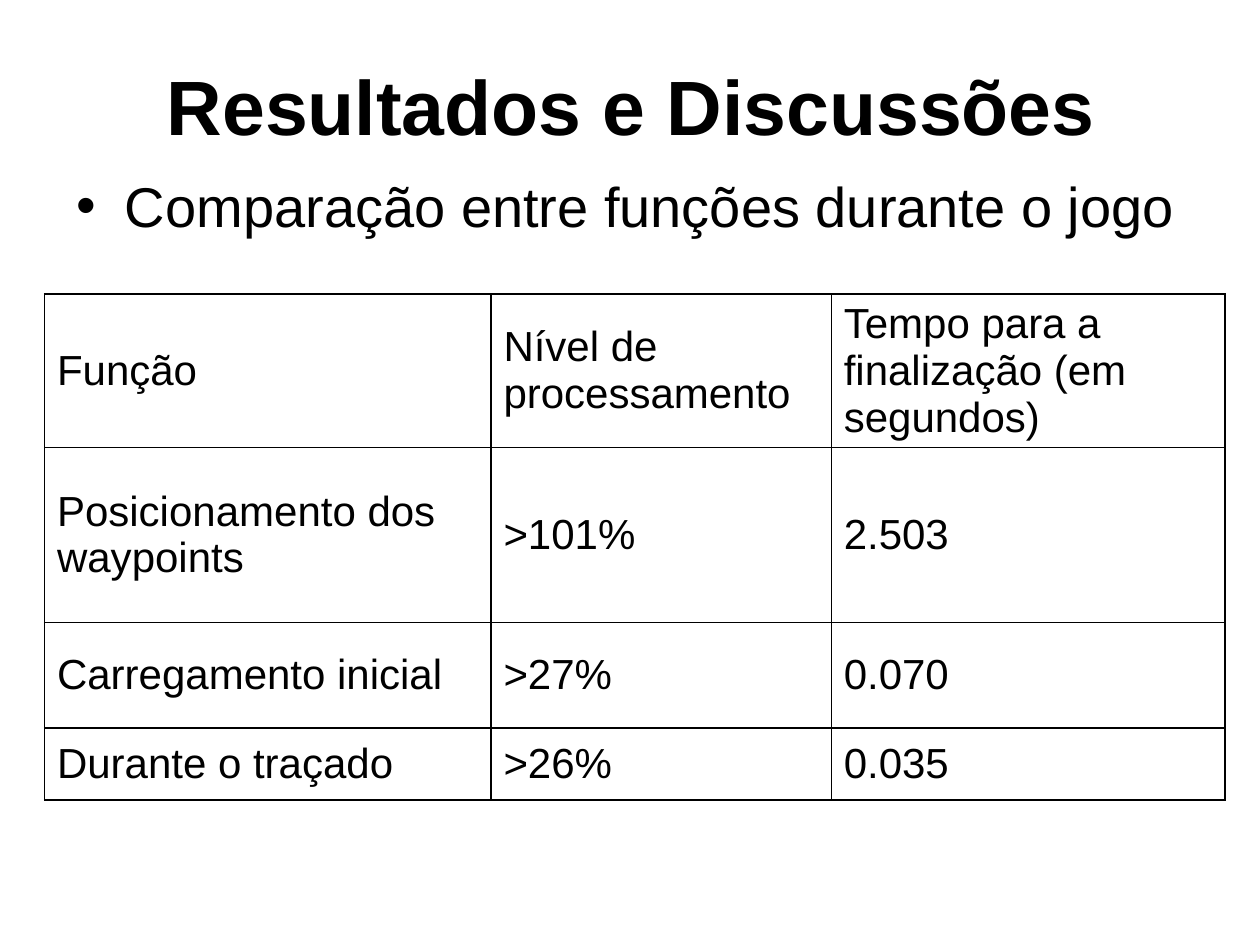
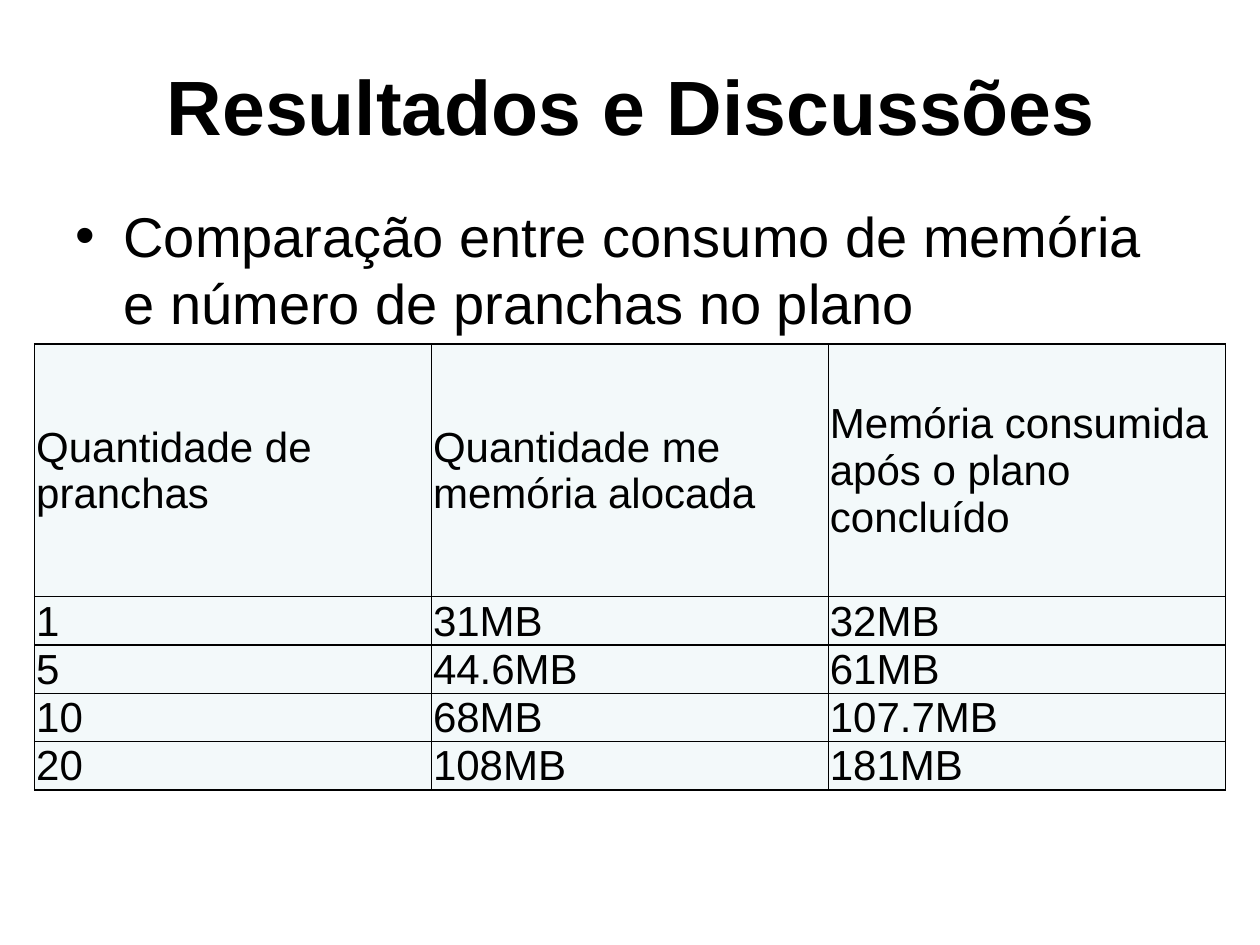
"""Build the two result slides, each with a bullet and a comparison table."""
from dataclasses import dataclass

import pptx
import pptx.dml.color
import pptx.enum.text
import pptx.oxml.ns
import pptx.util
from lxml import etree

Cm, Pt = pptx.util.Cm, pptx.util.Pt
RGB = pptx.dml.color.RGBColor
Align = pptx.enum.text.PP_ALIGN
Anchor = pptx.enum.text.MSO_ANCHOR
qn = pptx.oxml.ns.qn


@dataclass(frozen=True)
class Theme:
    font: str = "Arial"
    ink: str = "000000"
    white: str = "FFFFFF"
    mist: str = "F3F9FA"
    title_size: int = 44
    bullet_size: int = 32
    cell_size: int = 24
    cell_leading: float = 26.7
    border: int = 1


@dataclass(frozen=True)
class Bullet:
    text: str
    left: float
    top: float
    height: float


@dataclass(frozen=True)
class Grid:
    left: float
    top: float
    widths: list[float]
    heights: list[float]
    rows: list[list[str]]
    fill: str
    justify_from: int
    margins: tuple[float, float, float, float]


@dataclass(frozen=True)
class ResultSlide:
    bullet: Bullet
    grid: Grid


THEME = Theme()
TITLE = "Resultados e Discussões"
BODY_WIDTH = 22.86
INDENT = 0.97

SLIDES = [
    ResultSlide(
        Bullet("Comparação entre funções durante o jogo", 1.3, 3.33, 2.8),
        Grid(0.9, 5.93, [9, 6.86, 7.93], [3.08, 3.53, 2.13, 1.45], [
            ["Função", "Nível de processamento",
             "Tempo para a finalização (em segundos)"],
            ["Posicionamento dos waypoints", ">101%", "2.503"],
            ["Carregamento inicial", ">27%", "0.070"],
            ["Durante o traçado", ">26%", "0.035"],
        ], THEME.white, 2, (0.25, 0.13, 0.25, 0.13)),
    ),
    ResultSlide(
        Bullet("Comparação entre consumo de memória e número de pranchas no plano",
               1.27, 3.94, 13),
        Grid(0.7, 6.93, [8] * 3, [5.1] + [0.97] * 4, [
            ["Quantidade de pranchas", "Quantidade me memória alocada",
             "Memória consumida após o plano concluído"],
            ["1", "31MB", "32MB"],
            ["5", "44.6MB", "61MB"],
            ["10", "68MB", "107.7MB"],
            ["20", "108MB", "181MB"],
        ], THEME.mist, 0, (0.03, 0.03, 0.03, 0)),
    ),
]


def format_runs(p, size: int, bold: bool = False) -> None:
    for r in p.runs:
        r.font.name = THEME.font
        r.font.size = Pt(size)
        r.font.bold = bold
        r.font.color.rgb = RGB.from_string(THEME.ink)


def draw_title(s) -> None:
    sp = s.shapes.title
    sp.left, sp.top = Cm(1.3), Cm(0.53)
    sp.width, sp.height = Cm(BODY_WIDTH), Cm(3.18)
    tf = sp.text_frame
    tf.text = TITLE
    tf.auto_size = pptx.enum.text.MSO_AUTO_SIZE.NONE
    tf.vertical_anchor = Anchor.MIDDLE
    p = tf.paragraphs[0]
    p.alignment = Align.CENTER
    format_runs(p, THEME.title_size, True)


def draw_bullet(s, bullet: Bullet) -> None:
    sp = s.shapes.add_textbox(Cm(bullet.left), Cm(bullet.top),
                              Cm(BODY_WIDTH), Cm(bullet.height))
    tf = sp.text_frame
    tf.word_wrap = True
    tf.text = bullet.text
    p = tf.paragraphs[0]
    pPr = p._p.get_or_add_pPr()
    pPr.set("marL", str(Cm(INDENT)))
    pPr.set("indent", str(-Cm(INDENT)))
    etree.SubElement(pPr, qn("a:buFont")).set("typeface", THEME.font)
    etree.SubElement(pPr, qn("a:buChar")).set("char", "•")
    format_runs(p, THEME.bullet_size)


def draw_borders(cell) -> None:
    tcPr = cell._tc.get_or_add_tcPr()
    for side in "LRTB":
        ln = etree.SubElement(tcPr, qn(f"a:ln{side}"))
        ln.set("w", str(Pt(THEME.border)))
        fill = etree.SubElement(ln, qn("a:solidFill"))
        etree.SubElement(fill, qn("a:srgbClr")).set("val", THEME.ink)


def draw_table(s, grid: Grid) -> None:
    table = s.shapes.add_table(
        len(grid.rows), len(grid.widths), Cm(grid.left), Cm(grid.top),
        Cm(sum(grid.widths)), Cm(sum(grid.heights))).table
    table.first_row = table.horz_banding = False
    for column, width in zip(table.columns, grid.widths):
        column.width = Cm(width)
    for i, (row, height) in enumerate(zip(grid.rows, grid.heights)):
        table.rows[i].height = Cm(height)
        for j, text in enumerate(row):
            cell = table.cell(i, j)
            draw_borders(cell)
            cell.fill.solid()
            cell.fill.fore_color.rgb = RGB.from_string(grid.fill)
            cell.vertical_anchor = Anchor.MIDDLE
            (cell.margin_left, cell.margin_top, cell.margin_right,
             cell.margin_bottom) = map(Cm, grid.margins)
            cell.text_frame.text = text
            p = cell.text_frame.paragraphs[0]
            justified = i > 0 and j >= grid.justify_from
            p.alignment = Align.JUSTIFY if justified else Align.LEFT
            p.line_spacing = Pt(THEME.cell_leading)
            format_runs(p, THEME.cell_size)


def main() -> None:
    prs = pptx.Presentation()
    prs.slide_width, prs.slide_height = Cm(25.4), Cm(19.05)
    for result in SLIDES:
        s = prs.slides.add_slide(prs.slide_layouts[5])
        draw_title(s)
        draw_bullet(s, result.bullet)
        draw_table(s, result.grid)
    prs.save("out.pptx")


if __name__ == "__main__":
    main()
